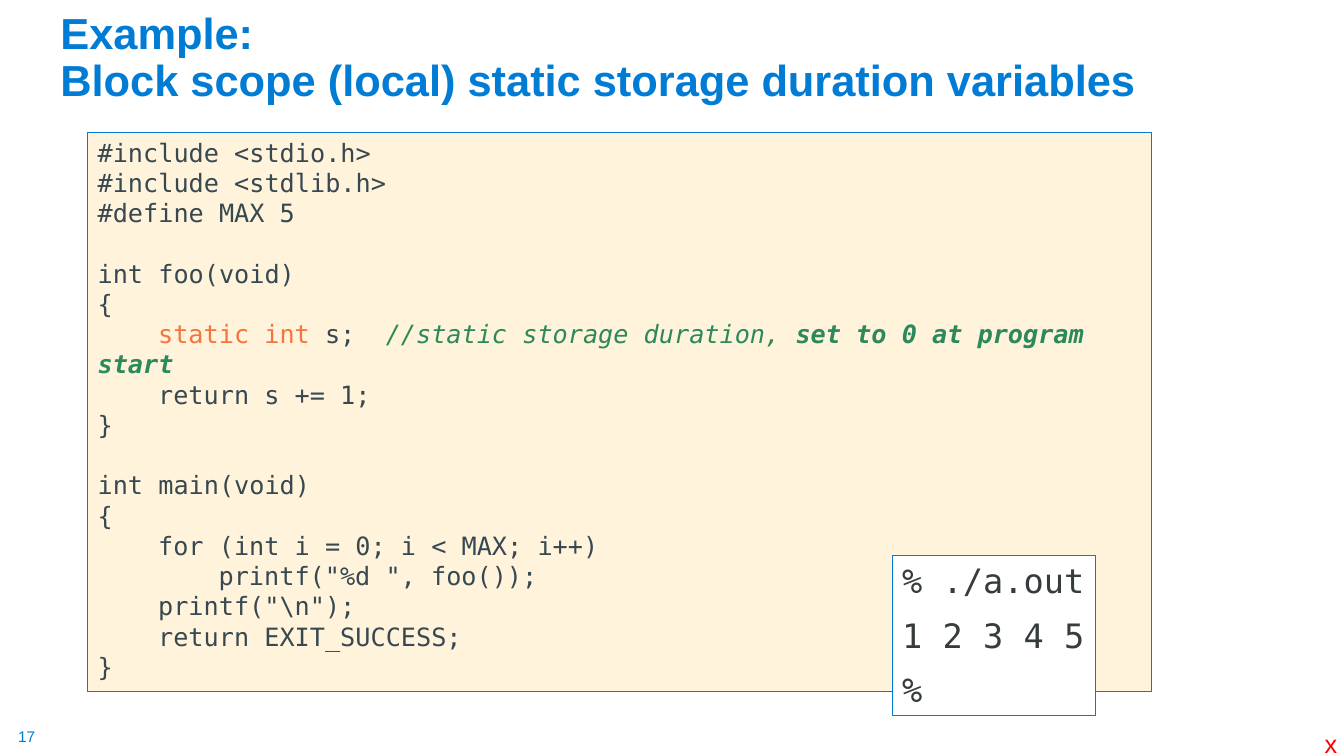
import pptx
import pptx.dml.color
import pptx.enum.shapes
import pptx.enum.text
import pptx.util

WIDTH, HEIGHT = 13.33, 7.5
COLORS = {
    "accent": "007CD5", "code": "384851", "comment": "2C895B", "keyword": "F3753F",
    "output": "363B3E", "mark": "FF0000", "cream": "FFF4DB", "white": "FFFFFF",
}
SANS, MONO = "Arial", "DejaVu Sans Mono"
CODE_INDENT = 0.6
CODE_LINE = 21.6
STATIC_LINE = [
    ("static int", {"color": "keyword"}),
    (" s;", {}),
    ("  //static storage duration, ", {"color": "comment", "italic": True}),
    ("set to 0 at program start", {"color": "comment", "italic": True, "bold": True}),
]
CODE_BLOCKS = [
    [(0, "#include <stdio.h>"), (0, "#include <stdlib.h>"), (0, "#define MAX 5")],
    [(0, "int foo(void)"), (0, "{"), (1, STATIC_LINE), (1, "return s += 1;"), (0, "}")],
    [(0, "int main(void)"), (0, "{"), (1, "for (int i = 0; i < MAX; i++)"),
     (2, 'printf("%d ", foo());'), (1, r'printf("\n");'),
     (1, "return EXIT_SUCCESS;"), (0, "}")],
]
OUTPUT_LINES = ["% ./a.out", "1 2 3 4 5", "%"]


def rgb(name):
    """Return the named colour."""
    return pptx.dml.color.RGBColor.from_string(COLORS[name])


def inches(box):
    """Convert a box in inches to lengths."""
    return [pptx.util.Inches(length) for length in box]


def add_text(paragraph, text, size=18, font=SANS, color="accent", bold=False, italic=False):
    """Append formatted text to a paragraph, breaking it at line ends."""
    for number, line in enumerate(text.split("\n")):
        if number:
            paragraph.add_line_break()
        run = paragraph.add_run()
        run.text = line
        run.font.size = pptx.util.Pt(size)
        run.font.name = font
        run.font.bold = bold
        run.font.italic = italic
        run.font.color.rgb = rgb(color)


def next_paragraph(frame):
    """Return the unused first paragraph, or a new left-aligned one."""
    first = frame.paragraphs[0]
    paragraph = frame.add_paragraph() if first.runs else first
    paragraph.alignment = pptx.enum.text.PP_ALIGN.LEFT
    return paragraph


def add_label(slide, box, text, margin=None, wrap=False, **text_format):
    """Place a text box and return its frame."""
    frame = slide.shapes.add_textbox(*inches(box)).text_frame
    frame.word_wrap = wrap
    if margin is not None:
        frame.margin_left = frame.margin_right = pptx.util.Inches(margin)
        frame.margin_top = frame.margin_bottom = pptx.util.Inches(margin)
    add_text(next_paragraph(frame), text, **text_format)
    return frame


def add_panel(slide, box, fill):
    """Place an outlined rectangle and return its text frame."""
    shape = slide.shapes.add_shape(pptx.enum.shapes.MSO_SHAPE.RECTANGLE, *inches(box))
    shape.shadow.inherit = False
    shape.fill.solid()
    shape.fill.fore_color.rgb = rgb(fill)
    shape.line.color.rgb = rgb("accent")
    shape.line.width = pptx.util.Pt(0.75)
    frame = shape.text_frame
    frame.word_wrap = True
    frame.vertical_anchor = pptx.enum.text.MSO_ANCHOR.TOP
    return frame


def add_title(slide, box):
    """Place the two-line heading, resting on the bottom of its box."""
    frame = add_label(slide, box,
                      "Example:\nBlock scope (local) static storage duration variables",
                      wrap=True, size=31, bold=True)
    frame.vertical_anchor = pptx.enum.text.MSO_ANCHOR.BOTTOM
    frame.paragraphs[0].line_spacing = 0.9


def add_code(slide, box):
    """Place the program listing with a gap between its blocks."""
    frame = add_panel(slide, box, "cream")
    for block_number, block in enumerate(CODE_BLOCKS):
        for line_number, (level, content) in enumerate(block):
            paragraph = next_paragraph(frame)
            if block_number and not line_number:
                paragraph.space_before = pptx.util.Pt(CODE_LINE)
            properties = paragraph._p.get_or_add_pPr()
            properties.set("marL", "0")
            properties.set("indent", str(pptx.util.Inches(CODE_INDENT * level)))
            pieces = [(content, {})] if isinstance(content, str) else content
            for text, text_format in pieces:
                add_text(paragraph, text, **{"font": MONO, "color": "code", **text_format})


def add_output(slide, box):
    """Place the terminal output."""
    frame = add_panel(slide, box, "white")
    for line in OUTPUT_LINES:
        paragraph = next_paragraph(frame)
        paragraph.space_before = pptx.util.Pt(10)
        add_text(paragraph, line, size=24, font=MONO, color="output")


def add_footer(slide, box):
    """Place the page number at the left and the mark at the right of the box."""
    left, top, width, height = box
    add_label(slide, (left, top + 0.03, 0.19, 0.19), "17", margin=0, size=11)
    add_label(slide, (left + width - 0.33, top, 0.33, height), "x", color="mark")


def main():
    """Build and save the slide."""
    presentation = pptx.Presentation()
    presentation.slide_width, presentation.slide_height = inches((WIDTH, HEIGHT))
    slide = presentation.slides.add_slide(presentation.slide_layouts[6])
    add_title(slide, (0.5, 0.08 * HEIGHT, 0.84 * WIDTH, 0.5))
    add_code(slide, (0.87, 1.31, 10.55, 0.74 * HEIGHT))
    add_output(slide, (8.85, 5.51, 2.02, 1.59))
    add_footer(slide, (0.18, 7.18, 13.19, 0.4))
    presentation.save("out.pptx")


if __name__ == "__main__":
    main()
